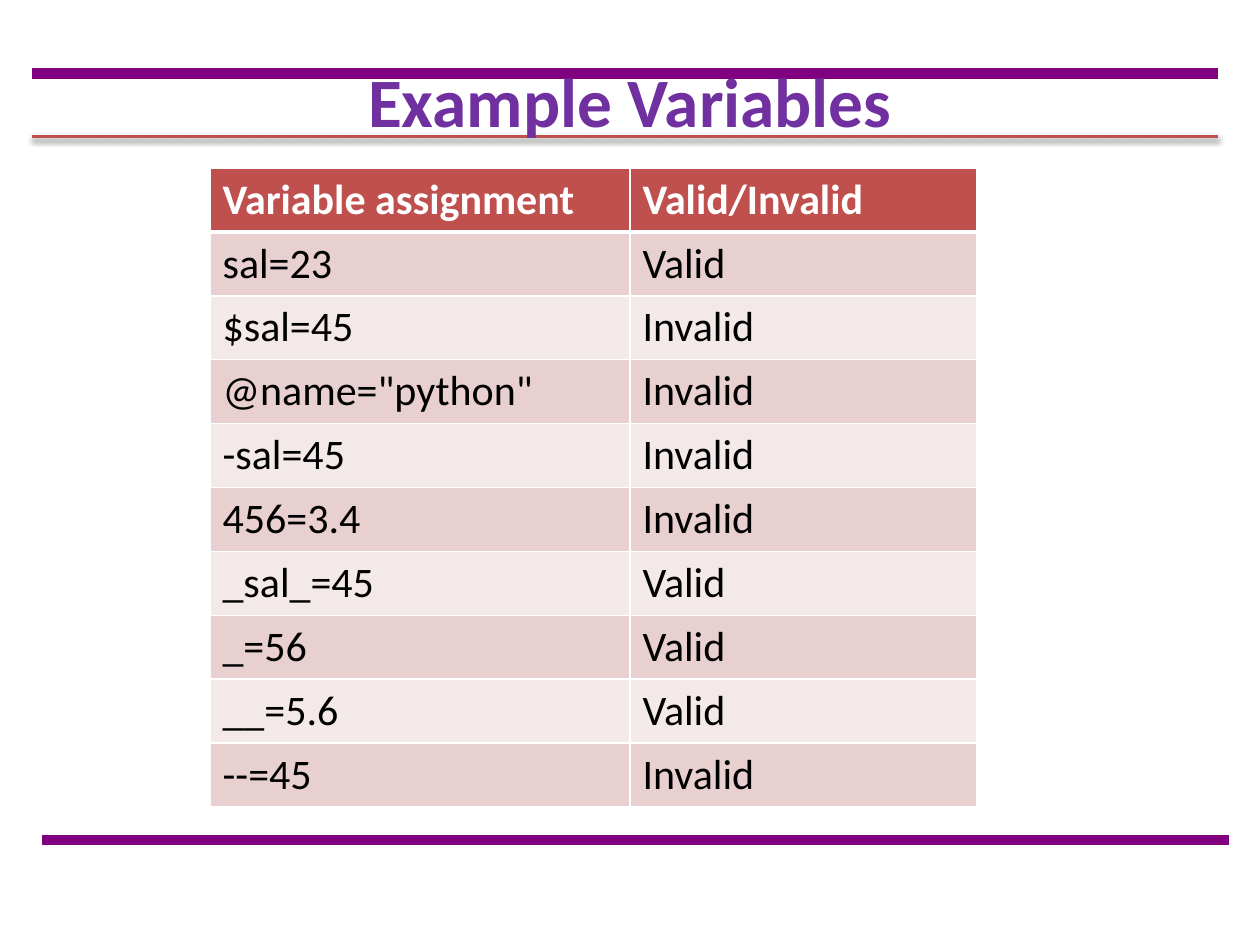
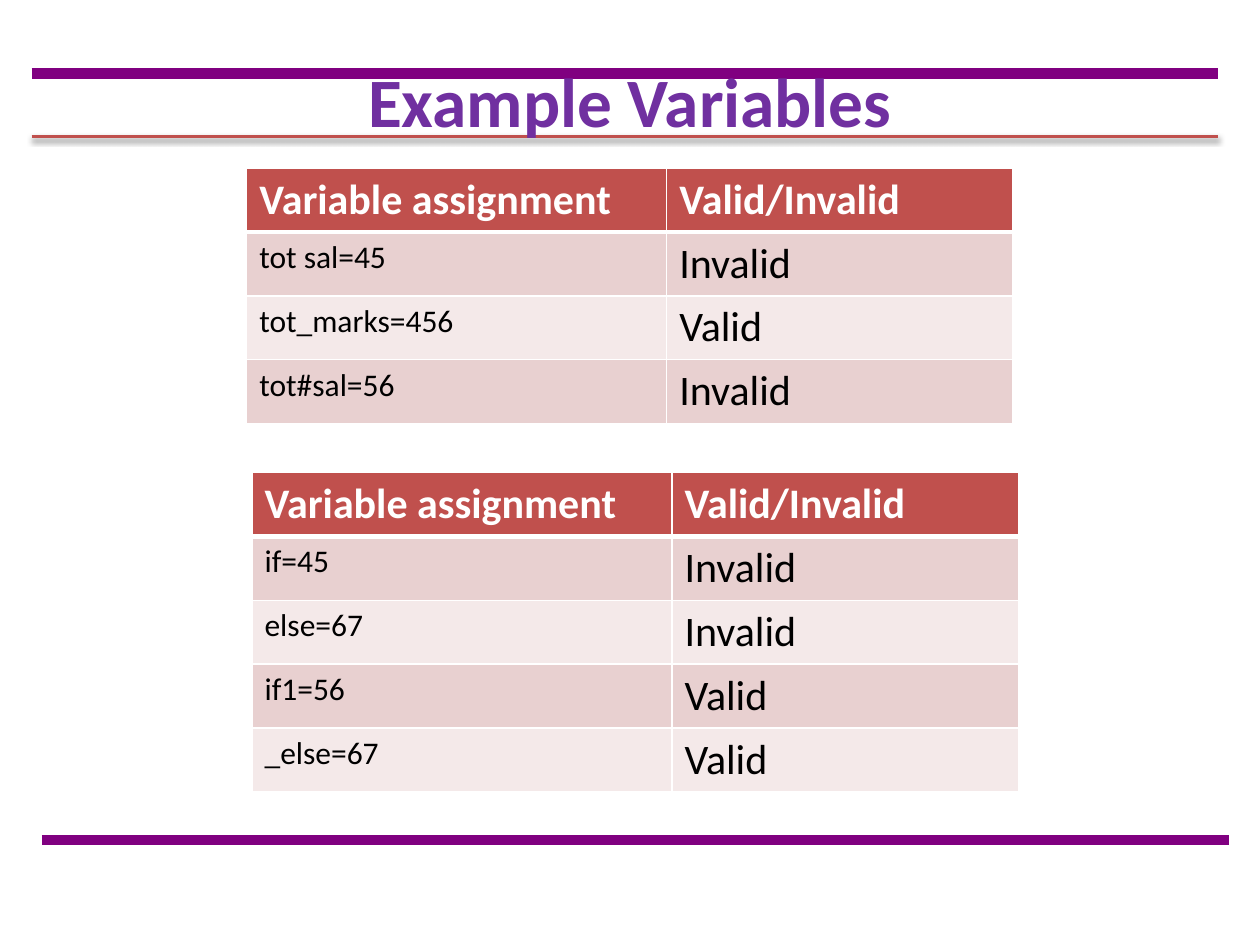
from lxml import etree
from pptx import Presentation
from pptx.dml.color import RGBColor
from pptx.enum.shapes import MSO_CONNECTOR
from pptx.enum.text import MSO_ANCHOR, MSO_AUTO_SIZE, PP_ALIGN
from pptx.oxml import parse_xml
from pptx.oxml.ns import qn
from pptx.util import Pt

STRAIGHT = MSO_CONNECTOR.STRAIGHT
MIDDLE = MSO_ANCHOR.MIDDLE
FIXED = MSO_AUTO_SIZE.NONE
CENTER = PP_ALIGN.CENTER
NS = "http://schemas.openxmlformats.org/drawingml/2006/main"
FONT = "Calibri"
COLORS = {
    "bar": "800080",
    "title": "7030A0",
    "head": "C0504D",
    "odd": "E8D0D0",
    "even": "F4E9E9",
    "white": "FFFFFF",
    "text": "000000",
}

TITLE = "Example Variables"
HEADER = ("Variable assignment", "Valid/Invalid")
SLIDES = [
    [
        {"left": 120, "top": 96, "size": 24, "rows": [
            ("sal=23", "Valid"),
            ("$sal=45", "Invalid"),
            ('@name="python"', "Invalid"),
            ("-sal=45", "Invalid"),
            ("456=3.4", "Invalid"),
            ("_sal_=45", "Valid"),
            ("_=56", "Valid"),
            ("__=5.6", "Valid"),
            ("--=45", "Invalid"),
        ]},
    ],
    [
        {"left": 141, "top": 96, "size": 18, "rows": [
            ("tot sal=45", "Invalid"),
            ("tot_marks=456", "Valid"),
            ("tot#sal=56", "Invalid"),
        ]},
        {"left": 144, "top": 270, "size": 18, "rows": [
            ("if=45", "Invalid"),
            ("else=67", "Invalid"),
            ("if1=56", "Valid"),
            ("_else=67", "Valid"),
        ]},
    ],
]

RULES = [
    (18, 42, "bar", 6, False),
    (18, 78, "head", 2, True),
    (24, 480, "bar", 6, False),
]
RULE_W = 678
COLS = (240, 198)
ROW_H = 36.5
BIG = 24
SHADOW = (
    f'<a:effectLst xmlns:a="{NS}"><a:outerShdw blurRad="{Pt(3.1)}" '
    f'dist="{Pt(1.6)}" dir="5400000" rotWithShape="0"><a:srgbClr val="000000">'
    '<a:alpha val="38000"/></a:srgbClr></a:outerShdw></a:effectLst>'
)


def paint(name):
    return RGBColor.from_string(COLORS[name])


def write(para, text, size, color, bold):
    run = para.add_run()
    run.text = text
    font = run.font
    font.name, font.size, font.bold = FONT, Pt(size), bold
    font.color.rgb = paint(color)


def add_rules(slide, layout):
    for left, top, color, width, shade in RULES:
        rule = slide.shapes.add_connector(
            STRAIGHT, Pt(left), Pt(top), Pt(left + RULE_W), Pt(top))
        rule.line.color.rgb = paint(color)
        rule.line.width = Pt(width)
        props = rule.element.spPr
        if shade:
            props.append(parse_xml(SHADOW))
        else:
            etree.SubElement(props, qn("a:effectLst"))
        layout.shapes.element.append(rule.element)


def add_title(slide):
    title = slide.shapes.title
    title.left, title.top = Pt(36), Pt(30)
    title.width, title.height = Pt(648), Pt(54)
    frame = title.text_frame
    frame.auto_size = FIXED
    frame.vertical_anchor = MIDDLE
    para = frame.paragraphs[0]
    para.alignment = CENTER
    write(para, TITLE, 39.6, "title", True)


def add_edges(cell, row):
    props = cell._tc.get_or_add_tcPr()
    for side in "LRTB":
        thick = (row, side) in ((0, "B"), (1, "T"))
        edge = etree.SubElement(props, qn(f"a:ln{side}"), w=str(Pt(3 if thick else 1)))
        fill = etree.SubElement(edge, qn("a:solidFill"))
        etree.SubElement(fill, qn("a:srgbClr"), val=COLORS["white"])


def add_grid(slide, left, top, size, rows):
    rows = [HEADER, *rows]
    table = slide.shapes.add_table(
        len(rows), len(COLS), Pt(left), Pt(top),
        Pt(sum(COLS)), Pt(ROW_H * len(rows))).table
    for col, width in zip(table.columns, COLS):
        col.width = Pt(width)
    for r, texts in enumerate(rows):
        table.rows[r].height = Pt(ROW_H)
        head = r == 0
        band = "head" if head else "odd" if r % 2 else "even"
        for c, text in enumerate(texts):
            cell = table.cell(r, c)
            add_edges(cell, r)
            cell.fill.solid()
            cell.fill.fore_color.rgb = paint(band)
            write(cell.text_frame.paragraphs[0], text,
                  BIG if head or c else size,
                  "white" if head else "text", head)


def main():
    deck = Presentation()
    deck.slide_width, deck.slide_height = Pt(720), Pt(540)
    layout = deck.slide_layouts[5]
    for i, grids in enumerate(SLIDES):
        slide = deck.slides.add_slide(layout)
        if i == 0:
            add_rules(slide, layout)
        add_title(slide)
        for grid in grids:
            add_grid(slide, **grid)
    deck.save("out.pptx")


if __name__ == "__main__":
    main()
